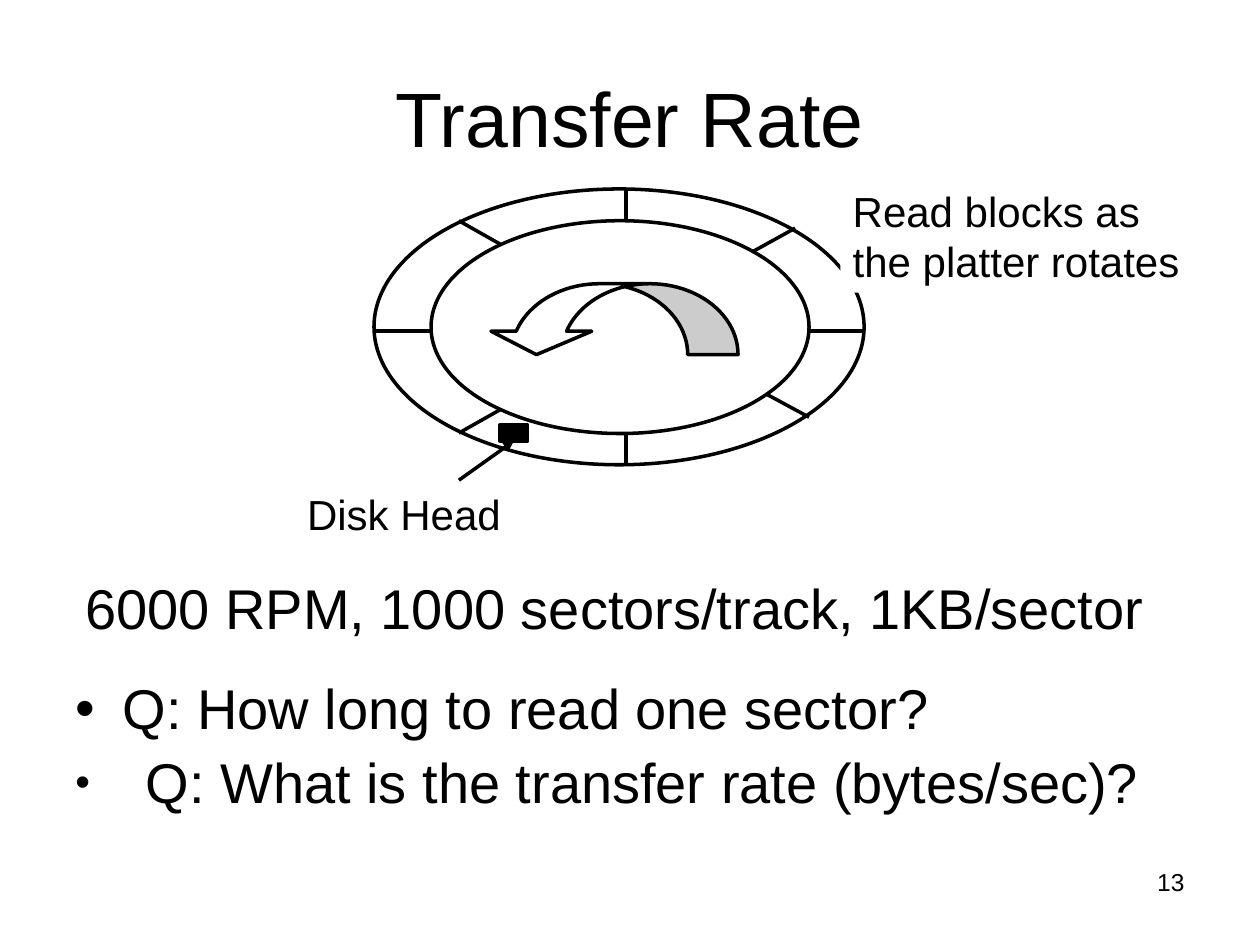
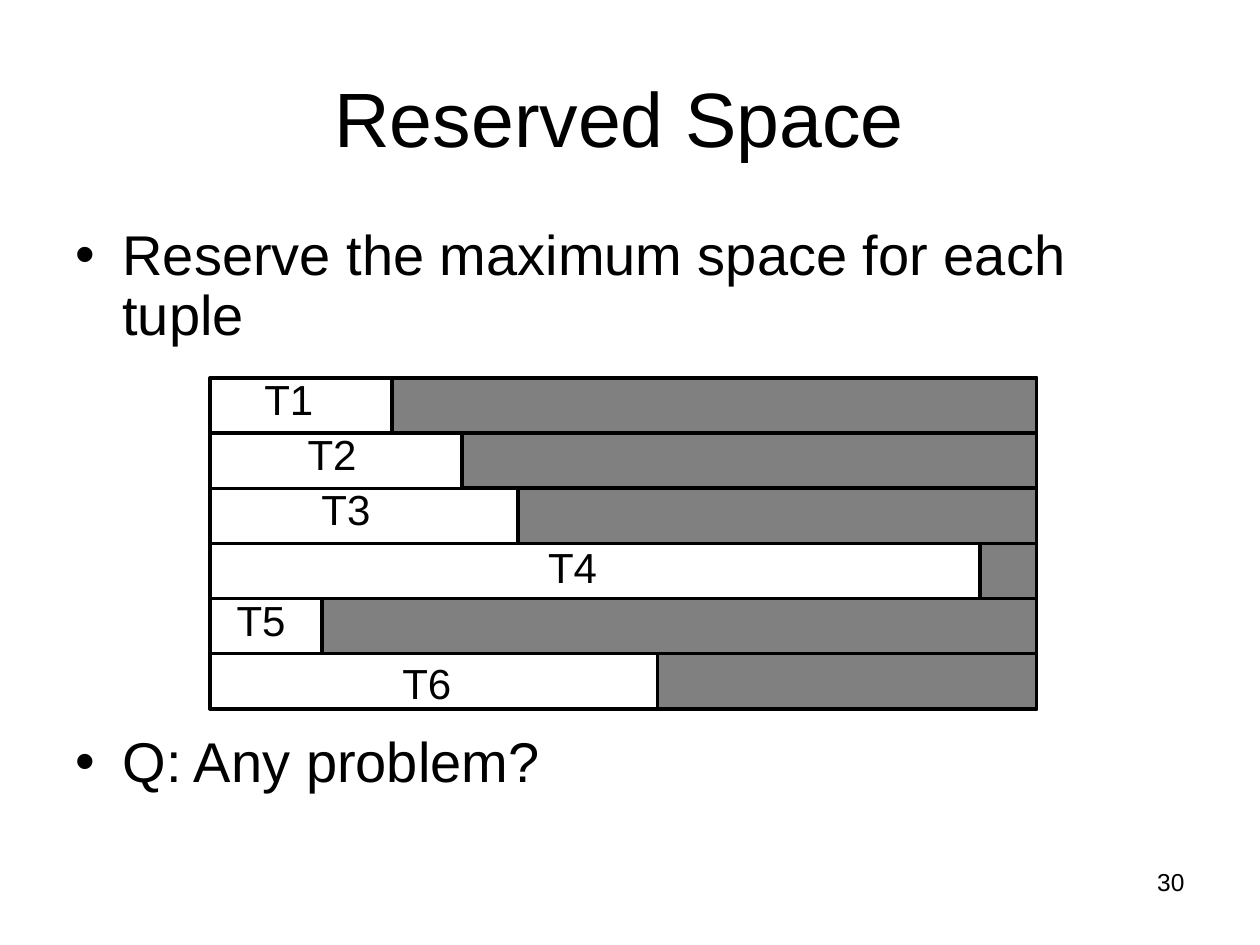
import dataclasses

import lxml.etree
import pptx
import pptx.dml.color
import pptx.enum.shapes
import pptx.enum.text
import pptx.oxml.ns
import pptx.util

Cm = pptx.util.Cm
Pt = pptx.util.Pt
qn = pptx.oxml.ns.qn
Shape = pptx.enum.shapes.MSO_SHAPE
Align = pptx.enum.text.PP_ALIGN
Anchor = pptx.enum.text.MSO_ANCHOR
AutoSize = pptx.enum.text.MSO_AUTO_SIZE

FONT = "Arial"
BLACK, WHITE, GREY = "000000", "FFFFFF", "808080"
LINE_WIDTH = 2
LABEL_SIZE, BODY_SIZE, TITLE_SIZE, NUMBER_SIZE = 24, 32, 44, 14


@dataclasses.dataclass(frozen=True)
class Area:
    """A rectangle in centimetres."""
    left: float
    top: float
    width: float
    height: float

    def lengths(self) -> tuple:
        return tuple(Cm(value) for value in dataclasses.astuple(self))


@dataclasses.dataclass(frozen=True)
class Segment:
    """A straight line in centimetres."""
    start_x: float
    start_y: float
    end_x: float
    end_y: float


@dataclasses.dataclass(frozen=True)
class Bullet:
    text: str
    indent: float = 0.95
    mark_percent: int = 100


@dataclasses.dataclass(frozen=True)
class TupleRow:
    """One stored tuple: its label, and where its unused space begins."""
    name: str
    label_left: float
    label_top: float
    unused_left: float


TITLE_AREA = Area(1.27, 0.76, 22.86, 3.18)
NUMBER_AREA = Area(18.21, 17.35, 5.92, 1.32)

SECTOR_BORDERS = [
    Segment(12.62, 3.81, 12.62, 4.45),
    Segment(12.62, 8.73, 12.62, 9.37),
    Segment(16.31, 6.67, 17.42, 6.67),
    Segment(7.54, 6.67, 8.69, 6.67),
    Segment(15.16, 5.08, 16.03, 4.6),
    Segment(9.25, 8.73, 10.08, 8.26),
    Segment(15.44, 7.94, 16.31, 8.41),
    Segment(9.25, 4.45, 10.08, 4.92),
]

TABLE = Area(4.23, 7.62, 16.67, 6.67)
TUPLE_ROWS = [
    TupleRow("T1", 5.08, 7.41, 7.9),
    TupleRow("T2", 5.95, 8.52, 9.31),
    TupleRow("T3", 6.23, 9.63, 10.44),
    TupleRow("T4", 10.8, 10.8, 19.76),
    TupleRow("T5", 4.52, 11.85, 6.49),
    TupleRow("T6", 7.86, 13.12, 13.26),
]


def colour(value: str) -> pptx.dml.color.RGBColor:
    return pptx.dml.color.RGBColor.from_string(value)


def style_line(line) -> None:
    line.color.rgb = colour(BLACK)
    line.width = Pt(LINE_WIDTH)


def style_runs(para, size: int) -> None:
    for span in para.runs:
        span.font.name = FONT
        span.font.size = Pt(size)
        span.font.color.rgb = colour(BLACK)


def add_text(page, area: Area, text: str, size: int, align=Align.LEFT,
             anchor=Anchor.TOP, wrap: bool = True):
    box = page.shapes.add_textbox(*area.lengths())
    frame = box.text_frame
    frame.word_wrap = wrap
    frame.auto_size = AutoSize.NONE if wrap else AutoSize.SHAPE_TO_FIT_TEXT
    frame.vertical_anchor = anchor
    frame.text = text
    for para in frame.paragraphs:
        para.alignment = align
        style_runs(para, size)
    return box


def add_bullets(page, area: Area, bullets: list[Bullet]) -> None:
    text = "\n".join(bullet.text for bullet in bullets)
    box = add_text(page, area, text, BODY_SIZE)
    for index, (para, bullet) in enumerate(zip(box.text_frame.paragraphs, bullets)):
        properties = para._p.get_or_add_pPr()
        indent = Cm(bullet.indent)
        properties.set("marL", str(indent))
        properties.set("indent", str(-indent))
        for tag, name, value in (("a:buSzPct", "val", str(bullet.mark_percent * 1000)),
                                 ("a:buFont", "typeface", FONT),
                                 ("a:buChar", "char", "•")):
            lxml.etree.SubElement(properties, qn(tag)).set(name, value)
        para.line_spacing = 0.9
        if index:
            para.space_before = Pt(8)


def add_figure(page, kind, area: Area, fill: str | None):
    """Draw a preset shape with a black outline; no fill when fill is None."""
    figure = page.shapes.add_shape(kind, *area.lengths())
    figure.shadow.inherit = False
    if fill is None:
        figure.fill.background()
    else:
        figure.fill.solid()
        figure.fill.fore_color.rgb = colour(fill)
    style_line(figure.line)
    return figure


def add_line(page, segment: Segment):
    ends = [Cm(value) for value in dataclasses.astuple(segment)]
    line = page.shapes.add_connector(pptx.enum.shapes.MSO_CONNECTOR.STRAIGHT, *ends)
    style_line(line.line)
    lxml.etree.SubElement(line._element.spPr, qn("a:effectLst"))
    return line


def add_page(deck, title: str, number: int):
    page = deck.slides.add_slide(deck.slide_layouts[6])
    add_text(page, NUMBER_AREA, str(number), NUMBER_SIZE, Align.RIGHT)
    add_text(page, TITLE_AREA, title, TITLE_SIZE, Align.CENTER, Anchor.MIDDLE)
    return page


def add_rotation_arrow(page) -> None:
    """Draw the curved arrow that turns from right to left."""
    arrow = add_figure(page, Shape.CURVED_DOWN_ARROW, Area(9.8, 5.72, 5.08, 1.43), WHITE)
    for index, value in enumerate((0.71, 1.42, 0.33)):
        arrow.adjustments[index] = value
    arrow._element.spPr.find(qn("a:xfrm")).set("flipH", "1")


def add_disk_head(page) -> None:
    head = add_figure(page, Shape.RECTANGLE, Area(10.08, 8.57, 0.56, 0.32), BLACK)
    pointer = add_line(page, Segment(9.25, 9.68, 10.36, 8.89))
    pointer.end_connect(head, 2)
    outline = pointer.line._get_or_add_ln()
    lxml.etree.SubElement(outline, qn("a:tailEnd")).set("type", "triangle")
    add_text(page, Area(5.94, 9.73, 4.42, 1.27), "Disk Head", LABEL_SIZE, wrap=False)


def build_transfer_rate(deck) -> None:
    page = add_page(deck, "Transfer Rate", 13)
    add_bullets(page, Area(1.27, 13.6, 22.86, 3), [
        Bullet("Q: How long to read one sector?"),
        Bullet("Q: What is the transfer rate (bytes/sec)?", 1.42, 75),
    ])
    for ring in (Area(7.54, 3.81, 9.88, 5.56), Area(8.69, 4.45, 7.62, 4.29)):
        add_figure(page, Shape.OVAL, ring, WHITE)
    for border in SECTOR_BORDERS:
        add_line(page, border)
    add_rotation_arrow(page)
    add_disk_head(page)
    note = add_text(page, Area(16.94, 3.61, 7.09, 2.29),
                    "Read blocks as\nthe platter rotates", LABEL_SIZE, wrap=False)
    note.fill.solid()
    note.fill.fore_color.rgb = colour(WHITE)
    add_text(page, Area(1.47, 11.43, 22.66, 1.63),
             "6000 RPM, 1000 sectors/track, 1KB/sector", BODY_SIZE)


def build_reserved_space(deck) -> None:
    page = add_page(deck, "Reserved Space ", 30)
    add_bullets(page, Area(1.27, 4.45, 22.86, 2.8),
                [Bullet("Reserve the maximum space for each tuple")])
    add_bullets(page, Area(1.27, 14.68, 22.86, 1.6), [Bullet("Q: Any problem?")])

    frame = add_figure(page, Shape.RECTANGLE, TABLE, None)
    row_height = TABLE.height / len(TUPLE_ROWS)
    right = TABLE.left + TABLE.width
    for index in range(1, len(TUPLE_ROWS)):
        y = TABLE.top + index * row_height
        divider = add_line(page, Segment(TABLE.left, y, right, y))
        if 2 * index == len(TUPLE_ROWS):
            divider.begin_connect(frame, 1)
            divider.end_connect(frame, 3)
    for index, row in enumerate(TUPLE_ROWS):
        unused = Area(row.unused_left, TABLE.top + index * row_height,
                      right - row.unused_left, row_height)
        add_figure(page, Shape.RECTANGLE, unused, GREY)
        add_text(page, Area(row.label_left, row.label_top, 1.5, 1.27),
                 row.name, LABEL_SIZE, wrap=False)


def main() -> None:
    deck = pptx.Presentation()
    deck.slide_width, deck.slide_height = Cm(25.4), Cm(19.05)
    build_transfer_rate(deck)
    build_reserved_space(deck)
    deck.save("out.pptx")


if __name__ == "__main__":
    main()
